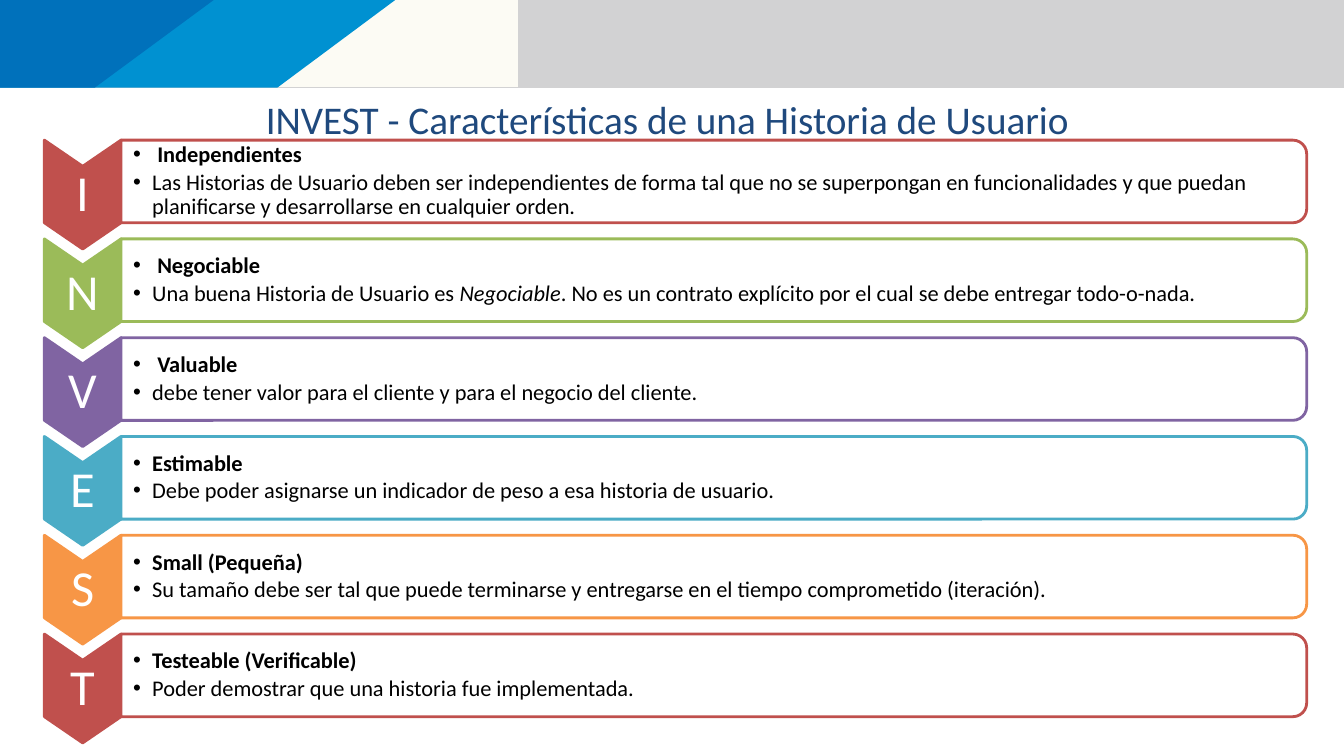
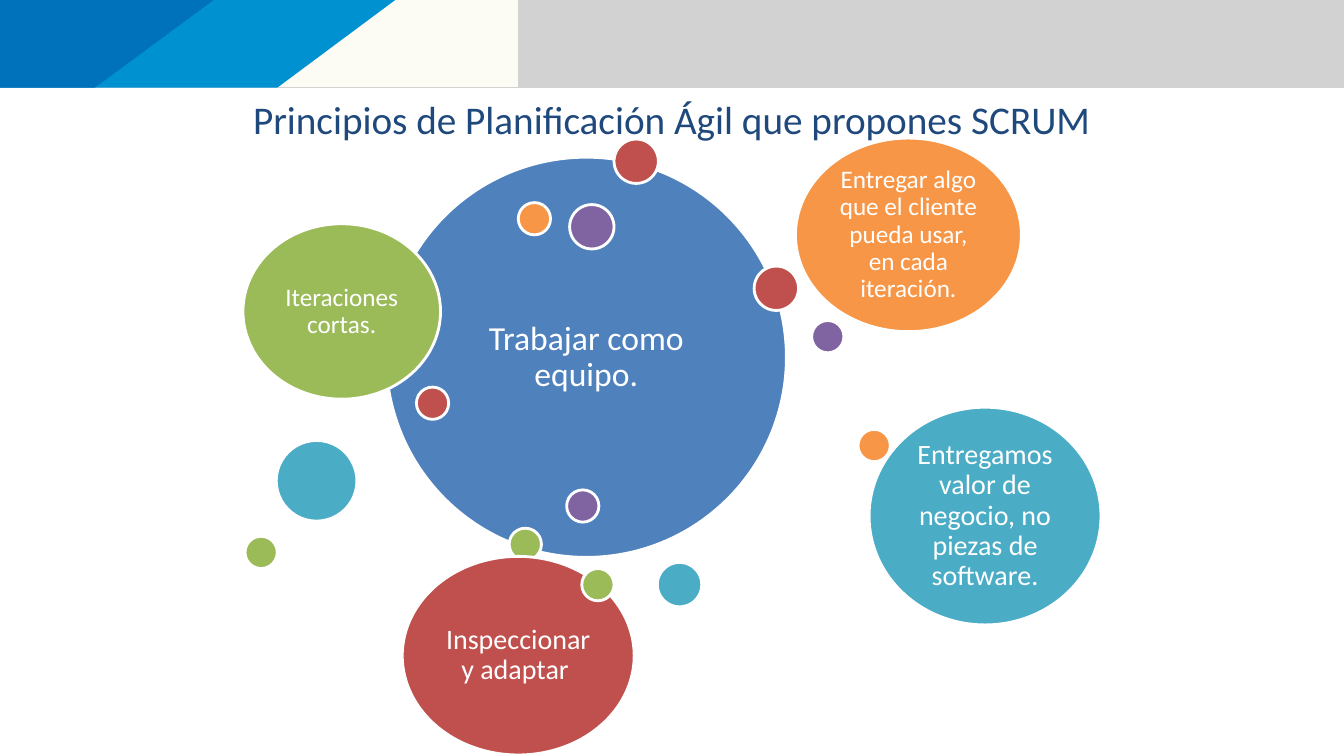
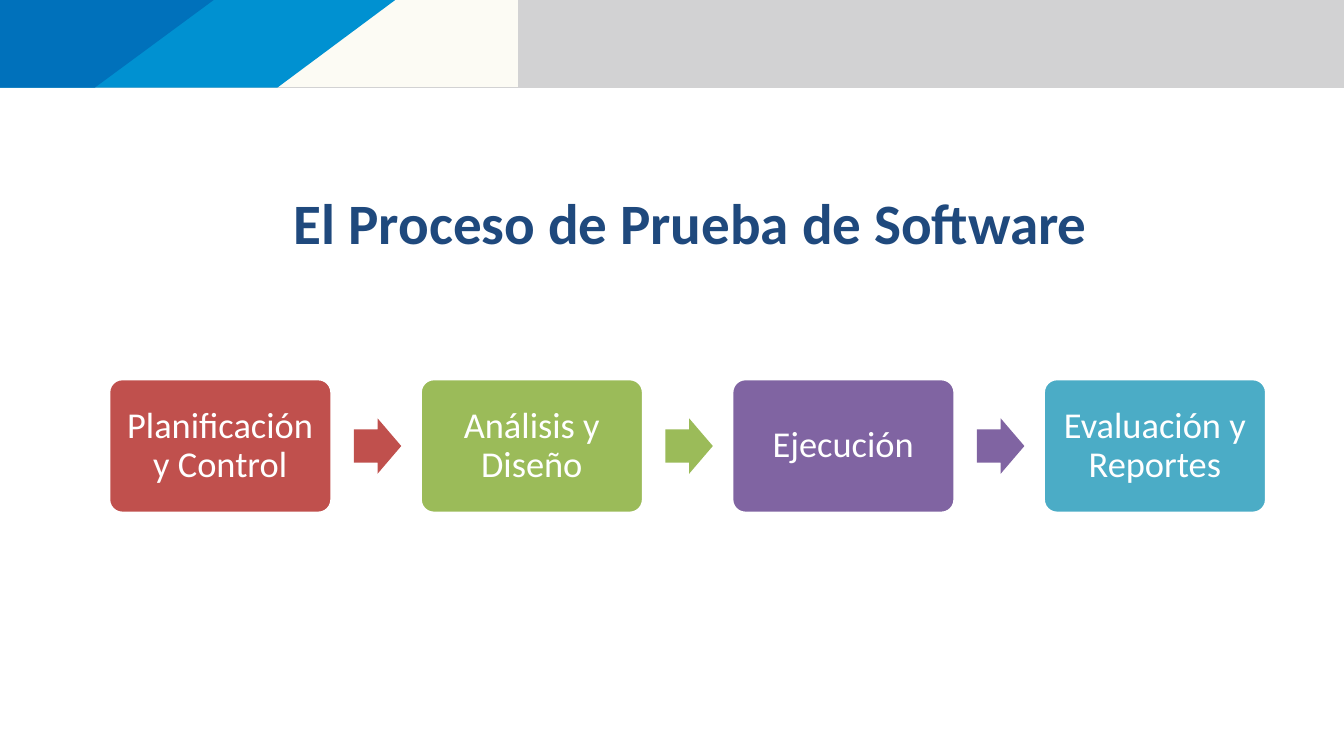
"""Builds three slides on user stories, agile planning and software testing."""
from dataclasses import dataclass
from lxml.etree import SubElement
from pptx import Presentation
from pptx.dml.color import RGBColor as Rgb
from pptx.enum.shapes import MSO_SHAPE as Shape
from pptx.enum.text import MSO_ANCHOR as Anchor, PP_ALIGN as Align
from pptx.oxml.ns import qn
from pptx.util import Inches, Pt


@dataclass(frozen=True)
class Theme:
    font: str = "Calibri"
    navy: str = "1F497D"
    blue: str = "4F81BD"
    red: str = "C0504D"
    green: str = "9BBB59"
    violet: str = "8064A2"
    teal: str = "4BACC6"
    orange: str = "F79646"
    white: str = "FFFFFF"
    black: str = "000000"
    gray: str = "D2D2D3"
    cream: str = "FCFBF4"
    sky: str = "0091D1"
    deep: str = "0071BB"
    title: float = 28
    head: float = 40.8
    letter: float = 36
    step: float = 26
    body: float = 16
    line: float = 2


T = Theme()

BANDS = [
    (T.gray, [(0, 0), (13.33, 0), (13.33, 0.87), (0, 0.87)]),
    (T.cream, [(0, 0), (5.14, 0), (5.14, 0.86), (0, 0.86)]),
    (T.sky, [(0, 0), (3.92, 0), (2.75, 0.87), (0, 0.87)]),
    (T.deep, [(0, 0), (2.12, 0), (0.94, 0.87), (0, 0.87)]),
]

INVEST = [
    ("I", T.red, " Independientes",
     "Las Historias de Usuario deben ser independientes de forma tal que no se superpongan "
     "en funcionalidades y que puedan planificarse y desarrollarse en cualquier orden."),
    ("N", T.green, " Negociable",
     "Una buena Historia de Usuario es *Negociable*. No es un contrato explícito por el "
     "cual se debe entregar todo-o-nada."),
    ("V", T.violet, " Valuable",
     "debe tener valor para el cliente y para el negocio del cliente."),
    ("E", T.teal, "Estimable",
     "Debe poder asignarse un indicador de peso a esa historia de usuario."),
    ("S", T.orange, "Small (Pequeña)",
     "Su tamaño debe ser tal que puede terminarse y entregarse en el tiempo comprometido "
     "(iteración)."),
    ("T", T.red, "Testeable (Verificable)",
     "Poder demostrar que una historia fue implementada."),
]

BIG, DOT, MID = (3.97, 3.97), (0.32, 0.32), (0.44, 0.44)
BUBBLES = [
    (3.83, 1.56, BIG, T.blue, "Trabajar como equipo.", 24),
    (6.09, 1.38, MID, T.red),
    (5.05, 5.24, DOT, T.green),
    (8.05, 3.18, DOT, T.violet),
    (6.52, 5.58, MID, T.teal),
    (5.14, 2.01, DOT, T.orange),
    (4.13, 3.84, DOT, T.red),
    (2.41, 2.22, (1.96, 1.74), T.green, "Iteraciones cortas.", 18),
    (5.65, 2.03, MID, T.violet),
    (2.74, 4.37, (0.8, 0.8), T.teal),
    (7.89, 1.37, (2.24, 1.92), T.orange,
     "Entregar algo que el cliente pueda usar, en cada iteración.", 18),
    (7.48, 2.64, MID, T.red),
    (2.43, 5.32, DOT, T.green),
    (5.62, 4.86, DOT, T.violet),
    (8.62, 4.04, (2.3, 2.16), T.teal,
     "Entregamos valor de negocio, no piezas de software.", 20),
    (8.51, 4.26, DOT, T.orange),
    (3.99, 5.52, (2.3, 1.97), T.red, "Inspeccionar y adaptar ", 20),
    (5.77, 5.64, DOT, T.green),
]

STEPS = [
    ("Planificación y Control", T.red),
    ("Análisis y Diseño", T.green),
    ("Ejecución", T.violet),
    ("Evaluación y Reportes", T.teal),
]


def paint(shape, fill, line=None):
    shape.shadow.inherit = False
    shape.fill.solid()
    shape.fill.fore_color.rgb = Rgb.from_string(fill)
    if line:
        shape.line.color.rgb = Rgb.from_string(line)
        shape.line.width = Pt(T.line)
    else:
        shape.line.fill.background()


def draw(slide, kind, x, y, w, h, fill, line=None, turn=0):
    shape = slide.shapes.add_shape(kind, Inches(x), Inches(y), Inches(w), Inches(h))
    paint(shape, fill, line)
    shape.rotation = turn
    return shape


def style(para, size, color, bold=False, align=Align.CENTER, gap=0.9):
    para.alignment = align
    para.line_spacing = gap
    font = para.font
    font.name, font.size, font.bold = T.font, Pt(size), bold
    font.color.rgb = Rgb.from_string(color)


def frame(shape, left, pad, anchor=Anchor.MIDDLE):
    area = shape.text_frame
    area.word_wrap = True
    area.vertical_anchor = anchor
    area.margin_left = Inches(left)
    area.margin_top = area.margin_right = area.margin_bottom = Inches(pad)
    return area


def box(slide, x, y, w, h):
    return slide.shapes.add_textbox(Inches(x), Inches(y), Inches(w), Inches(h))


def label(shape, text, size, pad):
    para = frame(shape, pad, pad).paragraphs[0]
    para.text = text
    style(para, size, T.white)


def bullet(para, text, bold):
    props = para._p.get_or_add_pPr()
    props.set("marL", str(Inches(0.19)))
    props.set("indent", str(Inches(-0.19)))
    SubElement(props, qn("a:buFont")).set("typeface", "Arial")
    SubElement(props, qn("a:buChar")).set("char", "•")
    style(para, T.body, T.black, bold, Align.LEFT)
    for i, part in enumerate(text.split("*")):
        run = para.add_run()
        run.text = part
        if i % 2:
            run.font.italic = True


def title(slide, text, x=0.1, y=0.95, size=T.title, bold=False):
    para = frame(box(slide, x, y, 13.12, 0.47), 0, 0, Anchor.TOP).paragraphs[0]
    para.text = text
    style(para, size, T.navy, bold, gap=1)


def add_bands(slide):
    for color, points in BANDS:
        start, *rest = [(Inches(x), Inches(y)) for x, y in points]
        outline = slide.shapes.build_freeform(*start)
        outline.add_line_segments(rest)
        band = outline.convert_to_shape()
        paint(band, color)
        slide.slide_layout.shapes.element.append(band.element)


def add_invest(slide):
    title(slide, "INVEST - Características de una Historia de Usuario ")
    tall, wide, long, thick = 0.82, 11.76, 1.08, 0.76
    for i, (letter, color, name, text) in enumerate(INVEST):
        top = 1.39 + 0.98 * i
        mark = draw(slide, Shape.CHEVRON, 0.28, top + (long - thick) / 2, long, thick,
                    color, color, 90)
        mark.adjustments[0] = (long - tall) / thick
        label(box(slide, 0.44, top + 0.38, thick, 0.33), letter, T.letter, 0.03)
        draw(slide, Shape.ROUND_2_SAME_RECTANGLE, 1.2 + (wide - tall) / 2,
             top - (wide - tall) / 2, tall, wide, T.white, color, 90)
        area = frame(box(slide, 1.2, top, 11.73, tall), 0.12, 0.01)
        head = area.paragraphs[0]
        bullet(head, name, True)
        head.space_after = Pt(0.15 * T.body)
        bullet(area.add_paragraph(), text, False)


def add_bubbles(slide):
    title(slide, "Principios de Planificación Ágil que propones SCRUM")
    for x, y, (w, h), color, *words in BUBBLES:
        bubble = draw(slide, Shape.OVAL, x, y, w, h, color, T.white)
        if words:
            text, size = words
            label(bubble, text, size, size / 240)


def add_steps(slide):
    title(slide, "El Proceso de Prueba de Software", 0.29, 1.86, T.head, True)
    for i, (text, color) in enumerate(STEPS):
        left = 1.08 + 3.09 * i
        card = draw(slide, Shape.ROUNDED_RECTANGLE, left, 3.76, 2.21, 1.33, color, T.white)
        card.adjustments[0] = 0.1
        label(card, text, T.step, T.step / 240)
        if i < len(STEPS) - 1:
            arrow = draw(slide, Shape.RIGHT_ARROW, left + 2.43, 4.15, 0.47, 0.55, color)
            arrow.adjustments[0] = 0.6


def main():
    deck = Presentation()
    deck.slide_width, deck.slide_height = Inches(13.33), Inches(7.5)
    blank = deck.slide_layouts[6]
    slides = [deck.slides.add_slide(blank) for _ in range(3)]
    add_bands(slides[0])
    for build, slide in zip((add_invest, add_bubbles, add_steps), slides):
        build(slide)
    deck.save("out.pptx")


if __name__ == "__main__":
    main()
